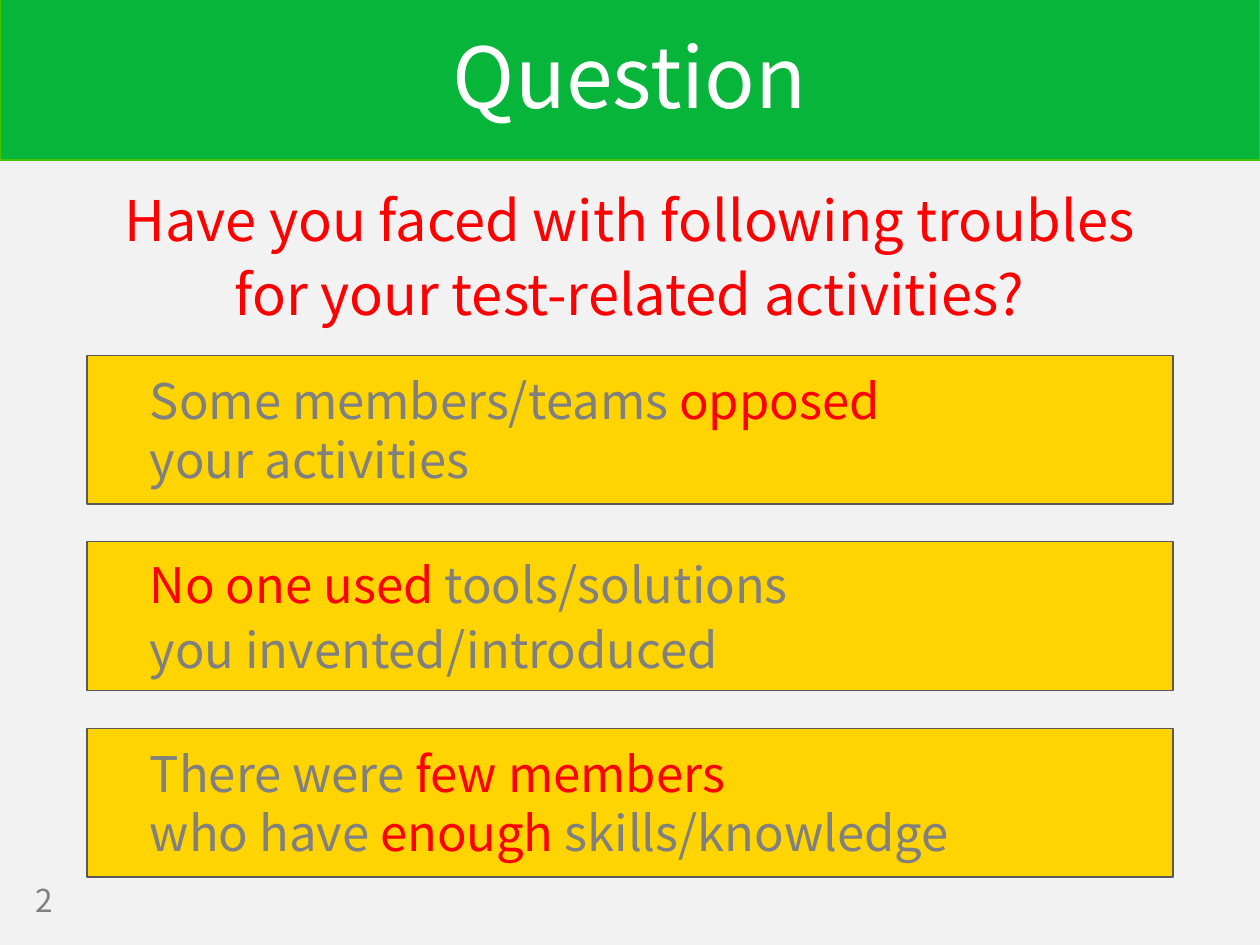
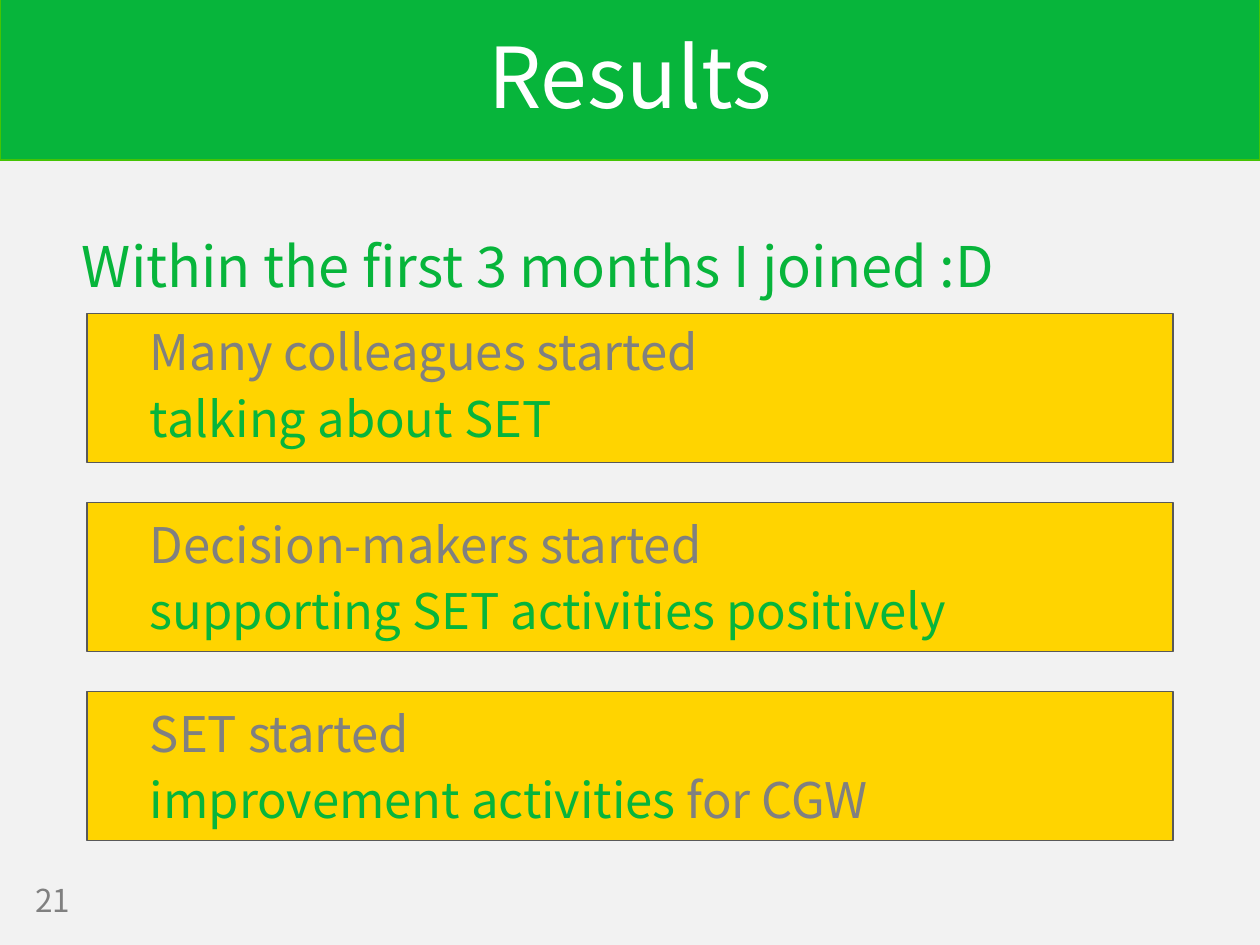
from pptx import Presentation
from pptx.dml import color
from pptx.enum import shapes, text
from pptx.util import Inches, Pt

FONT = "Noto Sans CJK JP"
COLOURS = {
    "background": "F2F2F2",
    "green": "07B53B",
    "band line": "44C404",
    "yellow": "FFD400",
    "card line": "595959",
    "grey": "808080",
    "red": "FF0000",
    "white": "FFFFFF",
}
SLIDE_WIDTH, SLIDE_HEIGHT = 10, 7.5
CARD_LEFT, CARD_WIDTH, CARD_HEIGHT = 0.69, 8.62, 1.18


def rgb(name):
    return color.RGBColor.from_string(COLOURS[name])


class Deck:
    def __init__(self):
        self.presentation = Presentation()
        self.presentation.slide_width = Inches(SLIDE_WIDTH)
        self.presentation.slide_height = Inches(SLIDE_HEIGHT)
        self.slide = None

    def start_slide(self, title, number):
        """Add a slide with its background, title band and page number."""
        blank = self.presentation.slide_layouts[6]
        self.slide = self.presentation.slides.add_slide(blank)
        fill = self.slide.background.fill
        fill.solid()
        fill.fore_color.rgb = rgb("background")
        self.rectangle(0, -0.01, SLIDE_WIDTH, 1.28, "green", "band line", 1)
        self.text_box(0, 0.36, SLIDE_WIDTH, 0.57, [[(title, "white")]], 48,
                      centred=True, line_spacing=0.9)
        self.text_box(0.18, 6.95, 0.79, 0.39, [[(number, "grey")]], 18)

    def rectangle(self, left, top, width, height, fill, line, line_width):
        shape = self.slide.shapes.add_shape(
            shapes.MSO_SHAPE.RECTANGLE,
            Inches(left), Inches(top), Inches(width), Inches(height))
        shape.shadow.inherit = False
        shape.fill.solid()
        shape.fill.fore_color.rgb = rgb(fill)
        shape.line.color.rgb = rgb(line)
        shape.line.width = Pt(line_width)
        return shape

    def text_box(self, left, top, width, height, paragraphs, size,
                 anchor=text.MSO_ANCHOR.MIDDLE, indent=0.1, **style):
        shape = self.slide.shapes.add_textbox(
            Inches(left), Inches(top), Inches(width), Inches(height))
        self.fill_text(shape, paragraphs, size, anchor, indent, **style)

    def card(self, top, paragraphs, **style):
        shape = self.rectangle(CARD_LEFT, top, CARD_WIDTH, CARD_HEIGHT,
                               "yellow", "card line", 0.75)
        self.fill_text(shape, paragraphs, 28, text.MSO_ANCHOR.MIDDLE, 0.5,
                       **style)

    def cards(self, first_top, step, contents):
        """Stack cards at equal steps; contents holds (paragraphs, style)."""
        for index, (paragraphs, style) in enumerate(contents):
            self.card(first_top + index * step, paragraphs, **style)

    def fill_text(self, shape, paragraphs, size, anchor, indent,
                  centred=False, line_spacing=1.0, space_before=3.8):
        """Fill a shape; a paragraph is a list of (text, colour) runs.

        A run that ends in a newline is followed by a line break.
        """
        frame = shape.text_frame
        frame.word_wrap = True
        frame.vertical_anchor = anchor
        frame.margin_left = Inches(indent)
        for index, runs in enumerate(paragraphs):
            paragraph = frame.add_paragraph() if index else frame.paragraphs[0]
            paragraph.alignment = (text.PP_ALIGN.CENTER if centred
                                   else text.PP_ALIGN.LEFT)
            paragraph.line_spacing = line_spacing
            paragraph.space_before = Pt(space_before if index else 0)
            for words, colour in runs:
                run = paragraph.add_run()
                run.text = words.rstrip("\n")
                run.font.name = FONT
                run.font.size = Pt(size)
                run.font.color.rgb = rgb(colour)
                if words.endswith("\n"):
                    paragraph.add_line_break()


def add_question(deck):
    deck.start_slide("Question", "2")
    deck.text_box(0, 1.23, SLIDE_WIDTH, 1.6, [
        [("Have you faced with following troubles", "red")],
        [("for your test-related activities?", "red")],
    ], 32, centred=True)
    deck.cards(2.82, 1.48, [
        ([[("Some members/teams ", "grey"), ("opposed\n", "red"),
           ("your activities", "grey")]], {}),
        ([[("No one used", "red"), (" tools/solutions", "grey")],
          [("you invented/introduced", "grey")]], {}),
        ([[("There were ", "grey"), ("few members\n", "red"),
           ("who have ", "grey"), ("enough", "red"),
           (" skills/knowledge", "grey")]], {}),
    ])


def add_results(deck):
    deck.start_slide("Results", "21")
    deck.text_box(0, 1.85, SLIDE_WIDTH, 4.82,
                  [[("Within the first 3 months I joined :D", "green")]], 32,
                  anchor=text.MSO_ANCHOR.TOP, indent=0.65, line_spacing=0.9)
    deck.cards(2.49, 1.5, [
        ([[("Many colleagues started", "grey")],
          [("talking about SET", "green")]],
         {"line_spacing": 0.9, "space_before": 7.5}),
        ([[("Decision-makers started", "grey")],
          [("supporting SET activities positively", "green")]], {}),
        ([[("SET started", "grey")],
          [("improvement activities", "green"), (" for CGW", "grey")]], {}),
    ])


def main():
    deck = Deck()
    add_question(deck)
    add_results(deck)
    deck.presentation.save("out.pptx")


if __name__ == "__main__":
    main()
